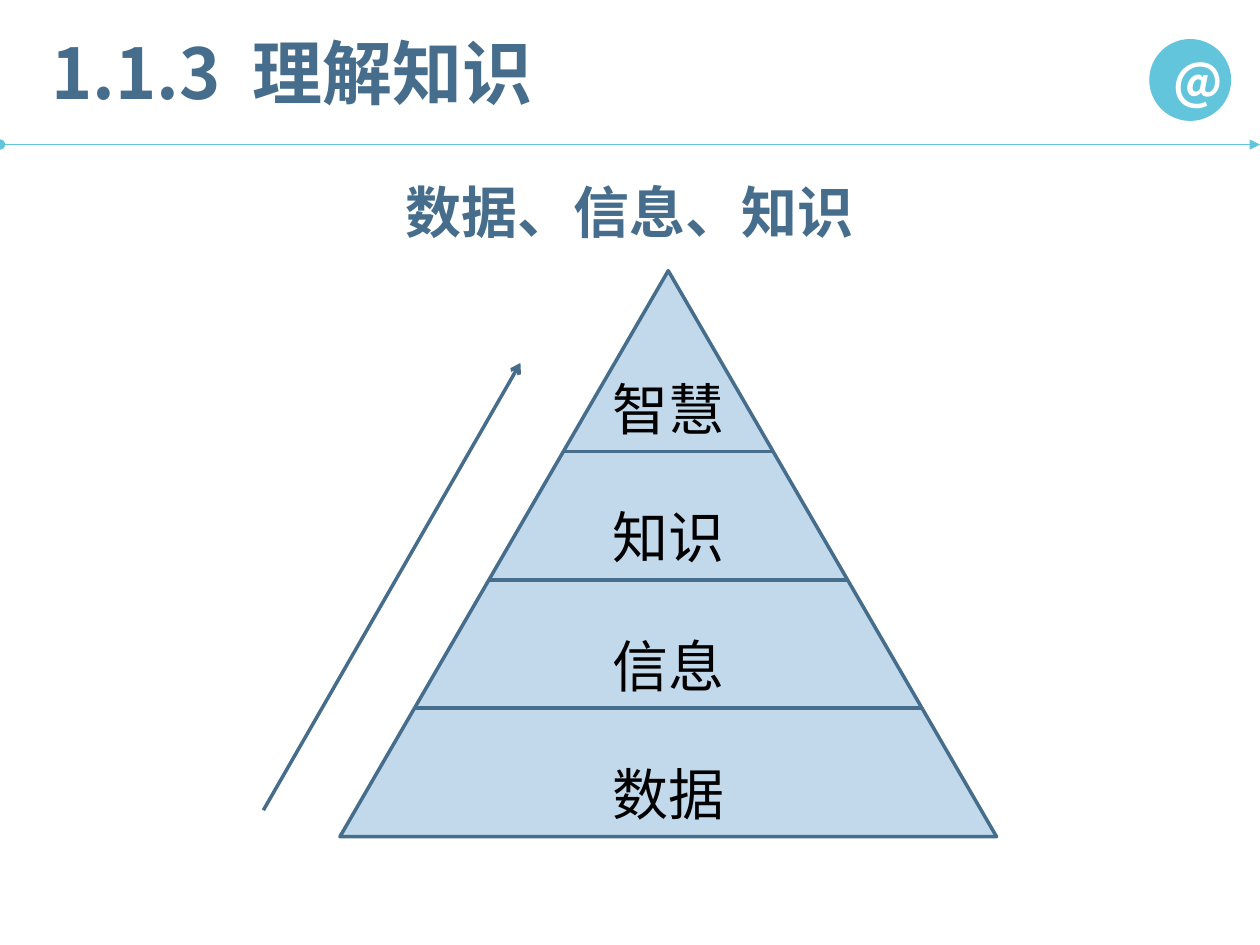
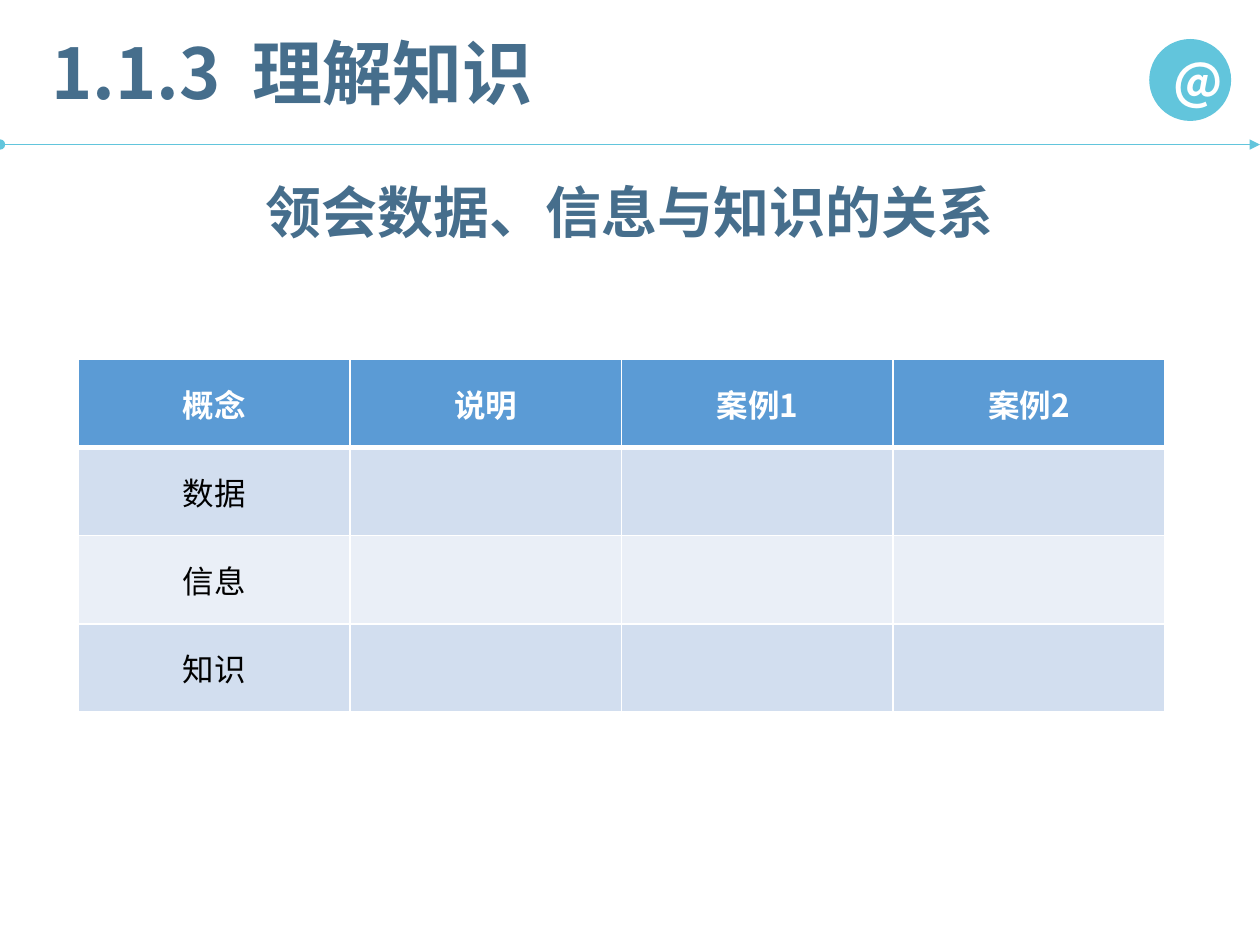
from dataclasses import dataclass

from lxml.etree import SubElement
from pptx import Presentation
from pptx.dml.color import RGBColor
from pptx.enum.shapes import MSO_CONNECTOR, MSO_SHAPE
from pptx.enum.text import MSO_ANCHOR, MSO_AUTO_SIZE, PP_ALIGN
from pptx.oxml import parse_xml
from pptx.oxml.ns import nsdecls, qn
from pptx.util import Pt


@dataclass(frozen=True)
class Theme:
    font: str = "Noto Sans CJK SC"
    ink: str = "466E8C"
    accent: str = "62C5DC"
    pyramid: str = "C1D9EB"
    header: str = "5B9BD5"
    band_dark: str = "D2DEEF"
    band_light: str = "EAEFF7"
    black: str = "000000"
    white: str = "FFFFFF"
    title_size: int = 40
    heading_size: int = 32
    badge_size: int = 28
    table_size: int = 18
    line_width: float = 2


THEME = Theme()
SLIDE_W, SLIDE_H = 720, 540


def rgb(color):
    return RGBColor.from_string(color)


def add_run(p, text, size, color, bold=False):
    r = p.add_run()
    r.text = text
    r.font.size = Pt(size)
    r.font.bold = bold
    r.font.color.rgb = rgb(color)
    r.font.name = THEME.font
    SubElement(r._r.get_or_add_rPr(), qn("a:ea"), typeface=THEME.font)
    return r


def add_label(shapes, text, left, top, width, height, color, bold=False):
    """Add one centred line of text in a box without margins."""
    sp = shapes.add_textbox(Pt(left), Pt(top), Pt(width), Pt(height))
    tf = sp.text_frame
    tf.word_wrap = True
    tf.margin_left = tf.margin_right = tf.margin_top = tf.margin_bottom = 0
    p = tf.paragraphs[0]
    p.alignment = PP_ALIGN.CENTER
    p.line_spacing = 0.9
    add_run(p, text, THEME.heading_size, color, bold)


def add_line(shapes, start, end, color, width, head=None, tail=None):
    """Draw a line; head and tail name the arrowheads at start and end."""
    points = [Pt(v) for v in (*start, *end)]
    sp = shapes.add_connector(MSO_CONNECTOR.STRAIGHT, *points)
    sp.line.color.rgb = rgb(color)
    sp.line.width = Pt(width)
    ln = sp.line._get_or_add_ln()
    for tag, kind in (("a:headEnd", head), ("a:tailEnd", tail)):
        if kind:
            SubElement(ln, qn(tag), type=kind)
    SubElement(sp._element.spPr, qn("a:effectLst"))


def add_filled_shape(shapes, kind, left, top, width, height, fill, line=None):
    sp = shapes.add_shape(kind, Pt(left), Pt(top), Pt(width), Pt(height))
    sp.shadow.inherit = False
    sp.fill.solid()
    sp.fill.fore_color.rgb = rgb(fill)
    if line:
        sp.line.color.rgb = rgb(line)
        sp.line.width = Pt(THEME.line_width)
    else:
        sp.line.fill.background()
    return sp


def set_section_title(title, number, name):
    title.left, title.top, title.width, title.height = Pt(22.3), Pt(13.2), Pt(345), Pt(55.4)
    tf = title.text_frame
    tf.auto_size = MSO_AUTO_SIZE.NONE
    tf.word_wrap = True
    tf.vertical_anchor = MSO_ANCHOR.MIDDLE
    p = tf.paragraphs[0]
    p.alignment = PP_ALIGN.LEFT
    add_run(p, number, THEME.title_size, THEME.ink, True)
    gap = add_run(p, " ", THEME.title_size, THEME.ink, True)
    gap._r.get_or_add_rPr().set("spc", "900")
    add_run(p, name, THEME.title_size, THEME.ink, True)


def add_badge(shapes):
    sp = add_filled_shape(shapes, MSO_SHAPE.OVAL, 656.7, 22.3, 46.8, 46.8, THEME.accent)
    tf = sp.text_frame
    tf.word_wrap = True
    tf.vertical_anchor = MSO_ANCHOR.MIDDLE
    p = tf.paragraphs[0]
    p.alignment = PP_ALIGN.CENTER
    add_run(p, "@", THEME.badge_size, THEME.white, True)


def add_section_slide(prs, heading):
    """Add a slide with the section title, rule, badge and its own heading."""
    s = prs.slides.add_slide(prs.slide_layouts.get_by_name("Title Only"))
    set_section_title(s.shapes.title, "1.1.3", "理解知识")
    add_line(s.shapes, (0, 82.6), (SLIDE_W, 82.6), THEME.accent, 0.75, "oval", "triangle")
    add_badge(s.shapes)
    add_label(s.shapes, heading, 0, 105.8, SLIDE_W, 49, THEME.ink, True)
    return s


def add_pyramid(s, levels):
    """Draw a triangle cut into levels, listed from the base upwards."""
    center, top, width, height = 381.9, 154.7, 375.2, 323.4
    step, label_w, label_h = 73.4, 124, 39.6
    shapes = s.shapes.add_group_shape().shapes
    add_filled_shape(shapes, MSO_SHAPE.ISOSCELES_TRIANGLE, center - width / 2, top,
                     width, height, THEME.pyramid, THEME.ink)
    for i, level in enumerate(levels):
        y = top + height - i * step
        if i:
            half = width / 2 * (y - top) / height
            add_line(shapes, (center - half, y), (center + half, y),
                     THEME.ink, THEME.line_width)
        add_label(shapes, level, center - label_w / 2, y - label_h,
                  label_w, label_h, THEME.black)
    add_line(shapes, (150.5, 463), (297.4, 207.4), THEME.ink, THEME.line_width, tail="arrow")


def set_borders(cell, top, bottom):
    """Give the cell white edges, 1 pt at the sides."""
    tcPr = cell._tc.get_or_add_tcPr()
    for tag, width in (("lnL", 1), ("lnR", 1), ("lnT", top), ("lnB", bottom)):
        tcPr.append(parse_xml(
            f'<a:{tag} {nsdecls("a")} w="{Pt(width)}"><a:solidFill>'
            f'<a:srgbClr val="{THEME.white}"/></a:solidFill></a:{tag}>'))


def add_concept_table(s, headers, concepts):
    col_w, row_h = 155.2, 50.4
    rows = [headers] + [[c] + [""] * (len(headers) - 1) for c in concepts]
    frame = s.shapes.add_table(len(rows), len(headers), Pt(44.8), Pt(205.3),
                               Pt(col_w * len(headers)), Pt(row_h * len(rows)))
    table = frame.table
    for i, row in enumerate(rows):
        is_header = i == 0
        band = THEME.band_dark if i % 2 else THEME.band_light
        for j, text in enumerate(row):
            cell = table.cell(i, j)
            set_borders(cell, 3 if i == 1 else 1, 3 if is_header else 1)
            cell.fill.solid()
            cell.fill.fore_color.rgb = rgb(THEME.header if is_header else band)
            cell.vertical_anchor = MSO_ANCHOR.MIDDLE
            if text:
                p = cell.text_frame.paragraphs[0]
                p.alignment = PP_ALIGN.CENTER
                add_run(p, text, THEME.table_size,
                        THEME.white if is_header else THEME.black, is_header)


def main():
    prs = Presentation()
    prs.slide_width, prs.slide_height = Pt(SLIDE_W), Pt(SLIDE_H)

    s = add_section_slide(prs, "数据、信息、知识")
    add_pyramid(s, ["数据", "信息", "知识", "智慧"])

    s = add_section_slide(prs, "领会数据、信息与知识的关系")
    add_concept_table(s, ["概念", "说明", "案例1", "案例2"], ["数据", "信息", "知识"])

    prs.save("out.pptx")


if __name__ == "__main__":
    main()
